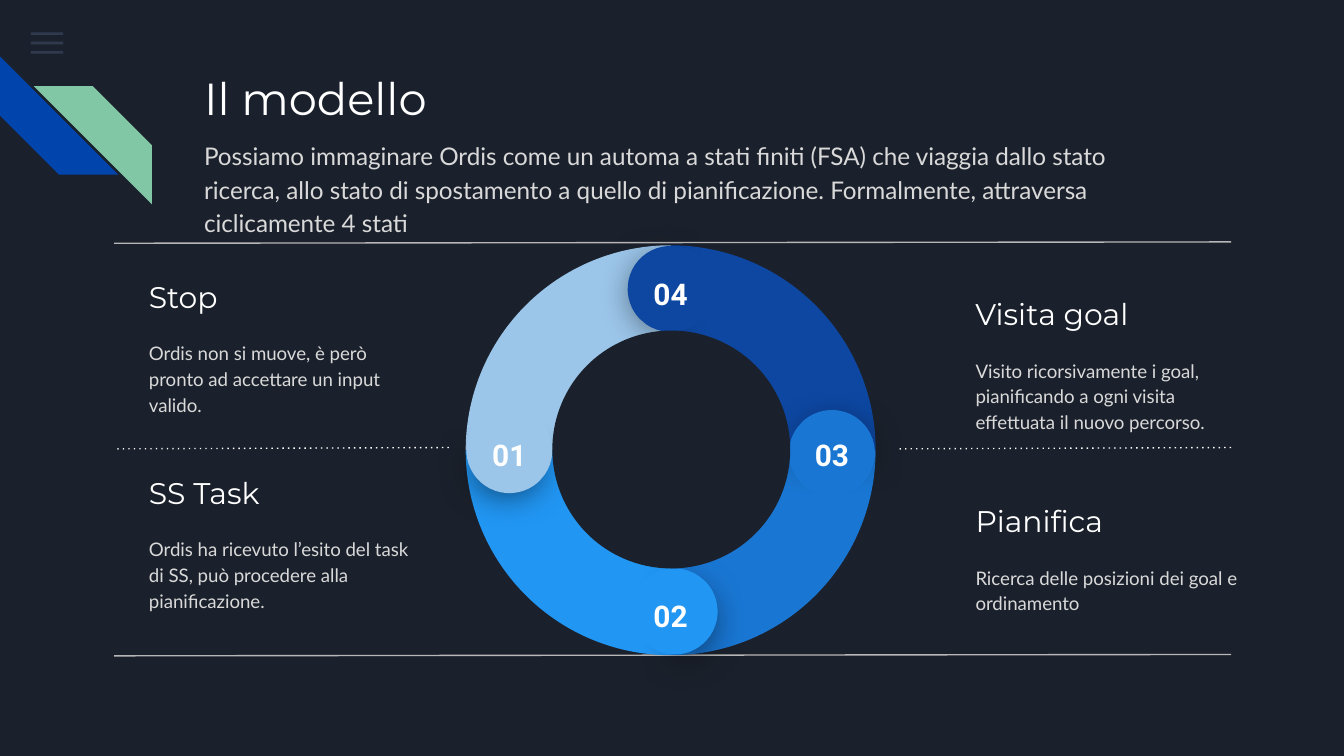
from dataclasses import dataclass
from math import cos, radians, sin

from lxml.etree import SubElement
from pptx import Presentation
from pptx.dml.color import RGBColor as RGB
from pptx.enum.shapes import MSO_CONNECTOR as CONN, MSO_SHAPE as SHAPE
from pptx.enum.text import MSO_ANCHOR as ANCHOR, PP_ALIGN as ALIGN
from pptx.oxml.ns import qn
from pptx.util import Inches, Pt


@dataclass(frozen=True)
class Theme:
    bg: str = "1B212C"
    white: str = "FFFFFF"
    body: str = "D9D9D9"
    rule: str = "B7B7B7"
    menu: str = "55688B"
    blue: str = "0145AC"
    green: str = "82C7A5"
    steps: tuple = ("9BC5E9", "2196F3", "1976D2", "0D47A1")
    title_size: int = 24
    lead_size: int = 13
    head_size: int = 16
    text_size: int = 10
    title_font: str = "Montserrat"
    body_font: str = "Lato"
    number_font: str = "Roboto"


class Deck:
    def __init__(self, theme):
        self.theme = theme
        self.prs = Presentation()
        self.prs.slide_width = Inches(10)
        self.prs.slide_height = Inches(10 * 9 / 16)
        self.s = self.prs.slides.add_slide(self.prs.slide_layouts[6])
        fill = self.s.background.fill
        fill.solid()
        fill.fore_color.rgb = RGB.from_string(theme.bg)

    def shape(self, kind, box, color, rot=0, adj=(), alpha=None, flip=False, shadow=False):
        sp = self.s.shapes.add_shape(kind, *map(Inches, box))
        sp.rotation = rot
        for i, value in enumerate(adj):
            sp.adjustments[i] = value
        sp.fill.solid()
        sp.fill.fore_color.rgb = RGB.from_string(color)
        sp.line.fill.background()
        sp.shadow.inherit = False
        pr = sp.element.spPr
        if alpha:
            clr = pr.find(qn("a:solidFill")).find(qn("a:srgbClr"))
            SubElement(clr, qn("a:alpha"), val=str(alpha * 1000))
        if flip:
            pr.find(qn("a:xfrm")).set("flipH", "1")
        if shadow:
            sh = SubElement(pr.find(qn("a:effectLst")), qn("a:outerShdw"),
                            blurRad=str(Pt(18)), dist=str(Pt(4)), dir="5400000",
                            algn="bl", rotWithShape="0")
            clr = SubElement(sh, qn("a:srgbClr"), val="000000")
            SubElement(clr, qn("a:alpha"), val="55000")

    def arc(self, kind, center, size, color, angles, rot, shadow=False):
        x, y = center
        box = (x - size / 2, y - size / 2, size, size)
        adj = [a * 0.6 for a in angles]
        self.shape(kind, box, color, rot % 360, adj, shadow=shadow)

    def text(self, box, text, font, size, color, bold=False,
             anchor=ANCHOR.TOP, align=ALIGN.LEFT, spacing=1.0):
        tf = self.s.shapes.add_textbox(*map(Inches, box)).text_frame
        margins = {f"margin_{side}": Inches(0.1) for side in ("left", "top", "right", "bottom")}
        for name, value in {"word_wrap": True, "vertical_anchor": anchor, **margins}.items():
            setattr(tf, name, value)
        p = tf.paragraphs[0]
        p.alignment = align
        p.line_spacing = spacing
        r = p.add_run()
        r.text = text
        for name, value in {"name": font, "size": Pt(size), "bold": bold}.items():
            setattr(r.font, name, value)
        r.font.color.rgb = RGB.from_string(color)

    def line(self, start, end, color, dash=None):
        cx = self.s.shapes.add_connector(CONN.STRAIGHT, *map(Inches, (*start, *end)))
        cx.line.color.rgb = RGB.from_string(color)
        cx.line.width = Pt(0.75)
        pr = cx.element.spPr
        if dash:
            SubElement(pr.find(qn("a:ln")), qn("a:prstDash"), val=dash)
        SubElement(pr, qn("a:effectLst"))

    def heading(self, box, text, size, anchor=ANCHOR.MIDDLE):
        t = self.theme
        self.text(box, text, t.title_font, size, t.white, anchor=anchor)

    def body(self, box, text, size):
        t = self.theme
        self.text(box, text, t.body_font, size, t.body, spacing=1.15)

    def state(self, x, y, title, text, width=2.03):
        self.heading((x, y, width, 0.49), title, self.theme.head_size)
        self.body((x, y + 0.46, 2.18, 0.76), text, self.theme.text_size)

    def ring(self, cx, cy, drifts):
        steps = self.theme.steps
        for i in (0, 3, 2, 1):
            self.arc(SHAPE.PIE, (cx, cy), 3.05, steps[i], (180, 270), -90 * i)
        for i, (color, (sx, sy)) in enumerate(zip(steps, drifts)):
            turn = -90 * i
            a = radians(180 + turn)
            dx, dy = cos(a), sin(a)
            self.arc(SHAPE.PIE, (cx + 1.22 * dx + sx, cy + 1.22 * dy + sy), 0.57, color,
                     (315.9, 139.7), 39.5 + turn, shadow=True)
            self.arc(SHAPE.CHORD, (cx + 1.2 * dx + sx, cy + 1.2 * dy + sy), 0.64, color,
                     (41.7, 30.2), 4.1 + turn)
            self.text((cx + 1.2 * dx - 0.28, cy + 1.2 * dy - 0.2, 0.56, 0.29),
                      f"{i + 1:02}", self.theme.number_font, self.theme.head_size,
                      self.theme.white, bold=True, align=ALIGN.CENTER)
        self.shape(SHAPE.OVAL, (cx - 0.88, cy - 0.89, 1.77, 1.77), self.theme.bg)


STATES = [
    (1.01, 3.42, "SS Task",
     "Ordis ha ricevuto l’esito del task di SS, può procedere alla pianificazione."),
    (1.01, 1.96, "Stop", "Ordis non si muove, è però pronto ad accettare un input valido."),
    (7.16, 2.09, "Visita goal",
     "Visito ricorsivamente i goal, pianificando a ogni visita effettuata il nuovo percorso."),
    (7.16, 3.63, "Pianifica", "Ricerca delle posizioni dei goal e ordinamento", 2.39),
]
CAP_DRIFTS = [(0, 0), (0.03, 0), (0, 0.02), (0, 0)]
LEAD = ("Possiamo immaginare Ordis come un automa a stati finiti (FSA) che viaggia dallo stato "
        "ricerca, allo stato di spostamento a quello di pianificazione. Formalmente, attraversa "
        "ciclicamente 4 stati")


def main():
    t = Theme()
    d = Deck(t)
    for i in range(3):
        d.shape(SHAPE.RECTANGLE, (0.23, 0.24 + 0.07 * i, 0.24, 0.02), t.menu, alpha=36)
    d.shape(SHAPE.DIAGONAL_STRIPE, (0, 0.42, 0.88, 0.88), t.blue, rot=270, adj=[0.5])
    d.shape(SHAPE.DIAGONAL_STRIPE, (0.25, 0.64, 0.88, 0.88), t.green, adj=[0.5], flip=True)
    d.heading((1.42, 0.43, 7.7, 0.63), "Il modello", t.title_size, ANCHOR.TOP)
    for state in STATES:
        d.state(*state)
    for y in (1.8, 4.87):
        d.line((9.16, y), (0.85, y + 0.01), t.rule)
    for left in (0.85, 6.67):
        d.line((left + 2.49, 3.33), (left, 3.34), t.white, "dot")
    d.ring(4.99, 3.35, CAP_DRIFTS)
    d.body((1.42, 0.92, 7.42, 0.76), LEAD, t.lead_size)
    d.prs.save("out.pptx")


if __name__ == "__main__":
    main()
